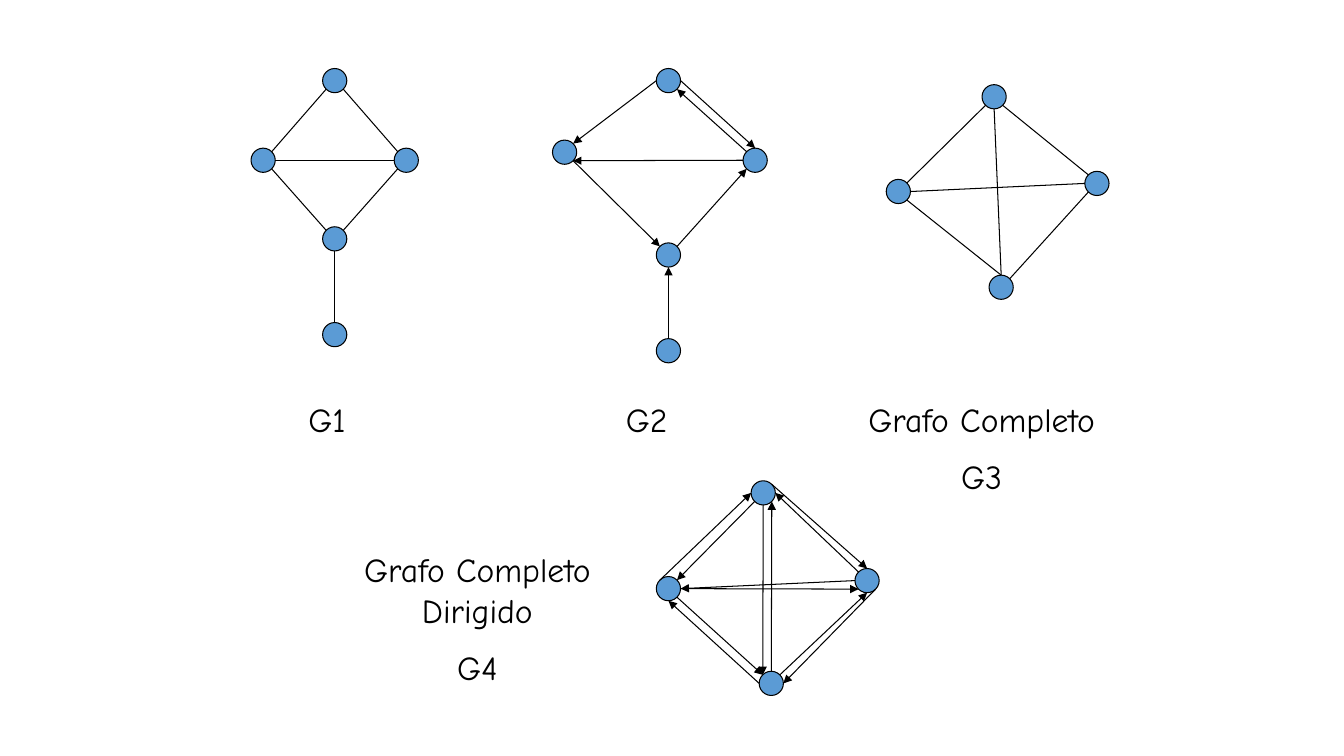
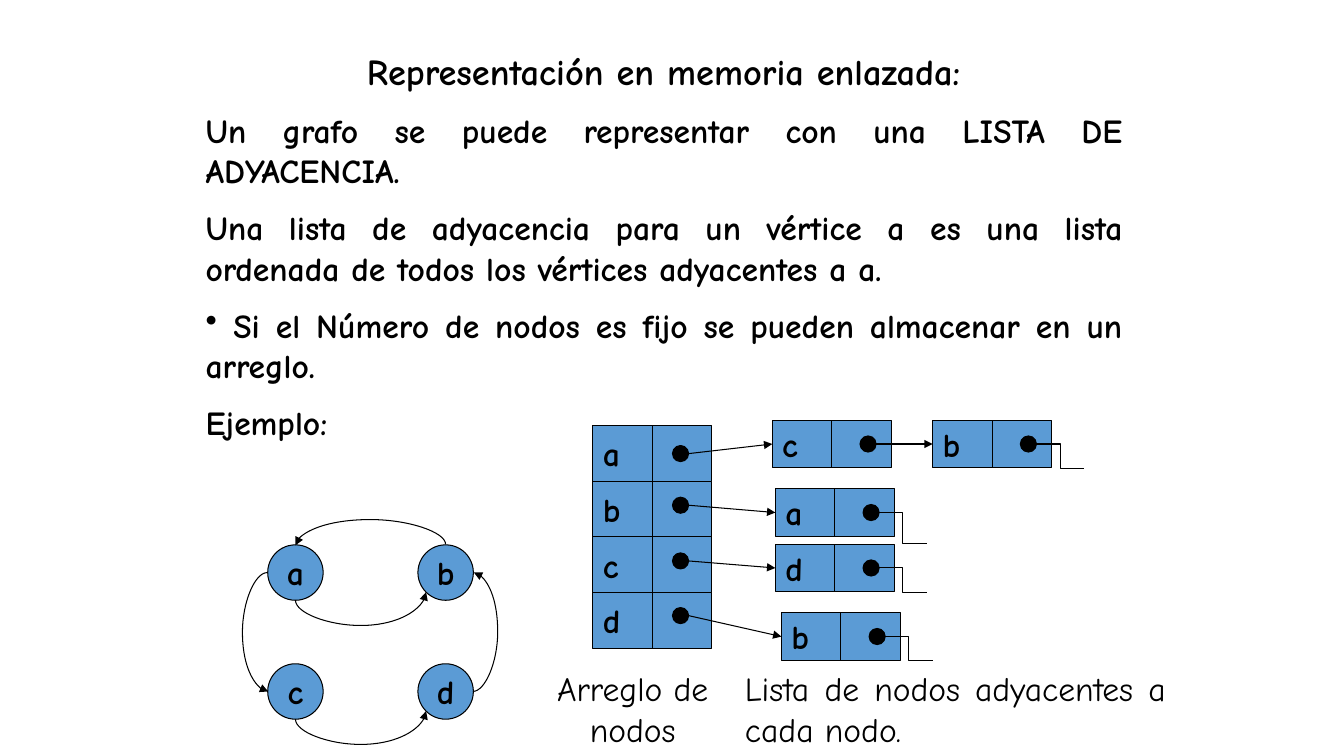
import math
from dataclasses import dataclass

import pptx
import pptx.util
import pptx.dml.color
import pptx.enum.shapes
import pptx.enum.text
import pptx.oxml.ns
from lxml import etree

Inches = pptx.util.Inches
Shape = pptx.enum.shapes.MSO_SHAPE
Link = pptx.enum.shapes.MSO_CONNECTOR
Align = pptx.enum.text.PP_ALIGN
Anchor = pptx.enum.text.MSO_ANCHOR
qn = pptx.oxml.ns.qn


@dataclass(frozen=True)
class Theme:
    ink: str = "000000"
    fill: str = "5B9BD5"
    font: str = "Comic Neue"
    head: int = 26
    body: int = 24
    gap: int = 12
    line: float = 0.75


theme = Theme()

GRAPHS = [
    dict(arrow=False,
         nodes=dict(T=(3.32, 0.8), L=(2.61, 1.59), R=(4.03, 1.59), B=(3.32, 2.37), F=(3.32, 3.32)),
         edges="T3-L7 T5-R1 L5-B1 R3-B7 B4-F0 L6-R2"),
    dict(arrow=True,
         nodes=dict(T=(6.63, 0.8), L=(5.6, 1.51), R=(7.49, 1.59), B=(6.63, 2.53), F=(6.63, 3.48)),
         edges="T2-L7 T6-R0 R1-T5 R2-L5 B7-R3 L5-B1 F0-B4"),
    dict(arrow=False,
         nodes=dict(T=(9.86, 0.96), L=(8.91, 1.9), R=(10.88, 1.82), B=(9.93, 2.85)),
         edges="T3-L7 L5-B0 R3-B7 T5-R1 L6-R2 T4-B0"),
    dict(arrow=True,
         nodes=dict(T=(7.57, 4.89), L=(6.63, 5.84), R=(8.6, 5.76), B=(7.65, 6.78)),
         edges="T3-L7 L5-B1 T4-B1 B7-R4 R1-T6 R2-L6 B0-T5 L1-T2 T7-R0 R5-B6 B2-L4 L6-R3"),
]
LABELS = [
    ((2.96, 3.91, 0.87, 0.5), ["G1"], Align.LEFT),
    ((6.11, 3.91, 1.1, 0.5), ["G2"], Align.LEFT),
    ((8.24, 3.91, 2.99, 1.11), ["Grafo Completo", "G3"], Align.CENTER),
    ((3.28, 5.4, 2.91, 1.51), ["Grafo Completo Dirigido", "G4"], Align.CENTER),
]
NODE = 0.24

TITLE = "Representación en memoria enlazada:"
BODY = [
    "Un grafo se puede representar con una LISTA DE ADYACENCIA.",
    "Una lista de adyacencia para un vértice a es una lista ordenada de todos los vértices adyacentes a a.",
    "• Si el Número de nodos es fijo se pueden almacenar en un arreglo.",
    "Ejemplo:",
]
NOTES = [
    ((5.25, 6.58, 2.05, 0.91), ["Arreglo de nodos"], Align.CENTER),
    ((7.29, 6.58, 4.37, 0.91), ["Lista de nodos adyacentes a cada nodo."], Align.JUSTIFY),
]
RINGS = dict(a=(2.93, 5.68), b=(4.42, 5.68), c=(2.93, 6.86), d=(4.42, 6.86))
RING = 0.55
LOOPS = [("a2", "c2", "left"), ("b0", "a0", "top"), ("c4", "d3", "bottom"),
         ("d6", "b6", "right"), ("a4", "b3", "bottom")]
SIDES = dict(left=(180, True, -1), top=(270, True, -1), bottom=(90, True, -1), right=(0, False, 1))
BULGE = 0.25

ARRAY = (5.88, 4.22, 6.43)
ROWS = [
    ("a", 0.2, [("c", 7.66, 4.17), ("b", 9.25, 4.17)], 0.24),
    ("b", 0.16, [("a", 7.69, 4.85)], 0.31),
    ("c", 0.16, [("d", 7.69, 5.4)], 0.24),
    ("d", 0.15, [("b", 7.75, 6.08)], 0.24),
]
WIDE, HIGH, DOT = 1.18, 0.47, 0.16
TAIL = 0.47


def tint(code):
    return pptx.dml.color.RGBColor.from_string(code)


def put(par, text, size, bold):
    run = par.add_run()
    run.text = text
    run.font.name = theme.font
    run.font.size = pptx.util.Pt(size)
    run.font.bold = bold
    run.font.color.rgb = tint(theme.ink)


def write(frame, lines, align, size=theme.body, bold=False):
    for i, text in enumerate(lines):
        par = frame.paragraphs[0] if i == 0 else frame.add_paragraph()
        if text.startswith("•"):
            prop = par._p.get_or_add_pPr()
            prop.set("marL", "0")
            prop.set("indent", "0")
            etree.SubElement(prop, qn("a:buChar")).set("char", "•")
            text = text[1:]
        par.alignment = align
        if i:
            par.space_before = pptx.util.Pt(theme.gap)
        put(par, text, size, bold)


def note(slide, box, lines, align, bold=False):
    frame = slide.shapes.add_textbox(*map(Inches, box)).text_frame
    frame.word_wrap = True
    write(frame, lines, align, bold=bold)


def block(slide, kind, box, fill=theme.fill, text=None):
    item = slide.shapes.add_shape(kind, *map(Inches, box))
    item.shadow.inherit = False
    item.fill.solid()
    item.fill.fore_color.rgb = tint(fill)
    item.line.color.rgb = tint(theme.ink)
    item.line.width = pptx.util.Pt(theme.line)
    if text:
        frame = item.text_frame
        frame.vertical_anchor = Anchor.MIDDLE
        frame.word_wrap = kind == Shape.RECTANGLE
        align = Align.LEFT if frame.word_wrap else Align.CENTER
        write(frame, [text], align, bold=True)
    return item


def disc(slide, spot, size, fill=theme.fill, text=None):
    x, y = spot
    return block(slide, Shape.OVAL, (x - size / 2, y - size / 2, size, size), fill, text)


def wire(slide, start, end, arrow=False, kind=Link.STRAIGHT):
    item = slide.shapes.add_connector(kind, *map(Inches, (*start, *end)))
    item.line.color.rgb = tint(theme.ink)
    item.line.width = pptx.util.Pt(theme.line)
    prop = item._element.spPr
    if arrow:
        etree.SubElement(prop.find(qn("a:ln")), qn("a:tailEnd")).set("type", "triangle")
    etree.SubElement(prop, qn("a:effectLst"))
    return item


def site(nodes, name, size):
    x, y = nodes[name[0]]
    turn = int(name[1]) * math.pi / 4
    return x - size / 2 * math.sin(turn), y - size / 2 * math.cos(turn)


def loop(slide, start, end, side):
    turn, flip, sign = SIDES[side]
    gaps = [abs(p - q) for p, q in zip(start, end)]
    thin, long = max(min(gaps), 0.01), max(gaps)
    item = wire(slide, start, end, True, Link.CURVE)
    item.left = Inches((start[0] + end[0] - thin) / 2)
    item.top = Inches((start[1] + end[1] - long) / 2)
    item.width, item.height = Inches(thin), Inches(long)
    prop = item._element.spPr
    form = prop.find(qn("a:xfrm"))
    form.set("rot", str(turn * 60000))
    form.set("flipH", str(int(flip)))
    form.set("flipV", "1")
    geom = prop.find(qn("a:prstGeom"))
    vals = geom.find(qn("a:avLst"))
    if vals is None:
        vals = etree.SubElement(geom, qn("a:avLst"))
    bend = etree.SubElement(vals, qn("a:gd"))
    bend.set("name", "adj1")
    bend.set("fmla", f"val {round(sign * BULGE / thin * 100000)}")


def split(slide, first, last):
    item = wire(slide, (0, 0), (1, 1))
    item.begin_connect(first, 0)
    item.end_connect(last, 2)


def graphs(deck):
    slide = deck.slides.add_slide(deck.slide_layouts[6])
    for graph in GRAPHS:
        nodes = graph["nodes"]
        for spot in nodes.values():
            disc(slide, spot, NODE)
        for edge in graph["edges"].split():
            start, end = (site(nodes, name, NODE) for name in edge.split("-"))
            wire(slide, start, end, graph["arrow"])
    for label in LABELS:
        note(slide, *label)


def chain(slide, start, cells, drop):
    for text, x, y in cells:
        box = block(slide, Shape.RECTANGLE, (x, y, WIDE, HIGH), text=text)
        split(slide, box, box)
        mid = y + HIGH / 2
        wire(slide, start, (x, mid), True).end_connect(box, 1)
        disc(slide, (x + 0.95, mid), DOT, theme.ink)
        start = x + 0.95 + DOT / 2, mid
    wire(slide, start, (start[0] + TAIL, mid + drop), kind=Link.ELBOW)


def memory(deck):
    slide = deck.slides.add_slide(deck.slide_layouts[5])
    head = slide.shapes.title
    head.left, head.top, head.width, head.height = map(Inches, (1.94, 0.44, 9.29, 0.53))
    frame = head.text_frame
    frame.word_wrap = True
    frame.auto_size = pptx.enum.text.MSO_AUTO_SIZE.NONE
    frame.vertical_anchor = Anchor.TOP
    write(frame, [TITLE], Align.CENTER, theme.head, True)
    note(slide, (1.94, 1.04, 9.29, 3.57), BODY, Align.JUSTIFY, True)

    for name, spot in RINGS.items():
        disc(slide, spot, RING, text=name)
    for start, end, side in LOOPS:
        loop(slide, site(RINGS, start, RING), site(RINGS, end, RING), side)

    left, top, foot = ARRAY
    step = (foot - top) / len(ROWS)
    slots = [block(slide, Shape.RECTANGLE, (left, top + i * step, WIDE, step), text=row[0])
             for i, row in enumerate(ROWS)]
    split(slide, slots[0], slots[-1])
    for i, (_, down, cells, drop) in enumerate(ROWS):
        spot = left + 0.87, top + i * step + down + DOT / 2
        disc(slide, spot, DOT, theme.ink)
        chain(slide, (spot[0] + DOT / 2, spot[1]), cells, drop)
    for item in NOTES:
        note(slide, *item)


def main():
    deck = pptx.Presentation()
    deck.slide_width, deck.slide_height = Inches(13.33), Inches(7.5)
    graphs(deck)
    memory(deck)
    deck.save("out.pptx")


if __name__ == "__main__":
    main()
